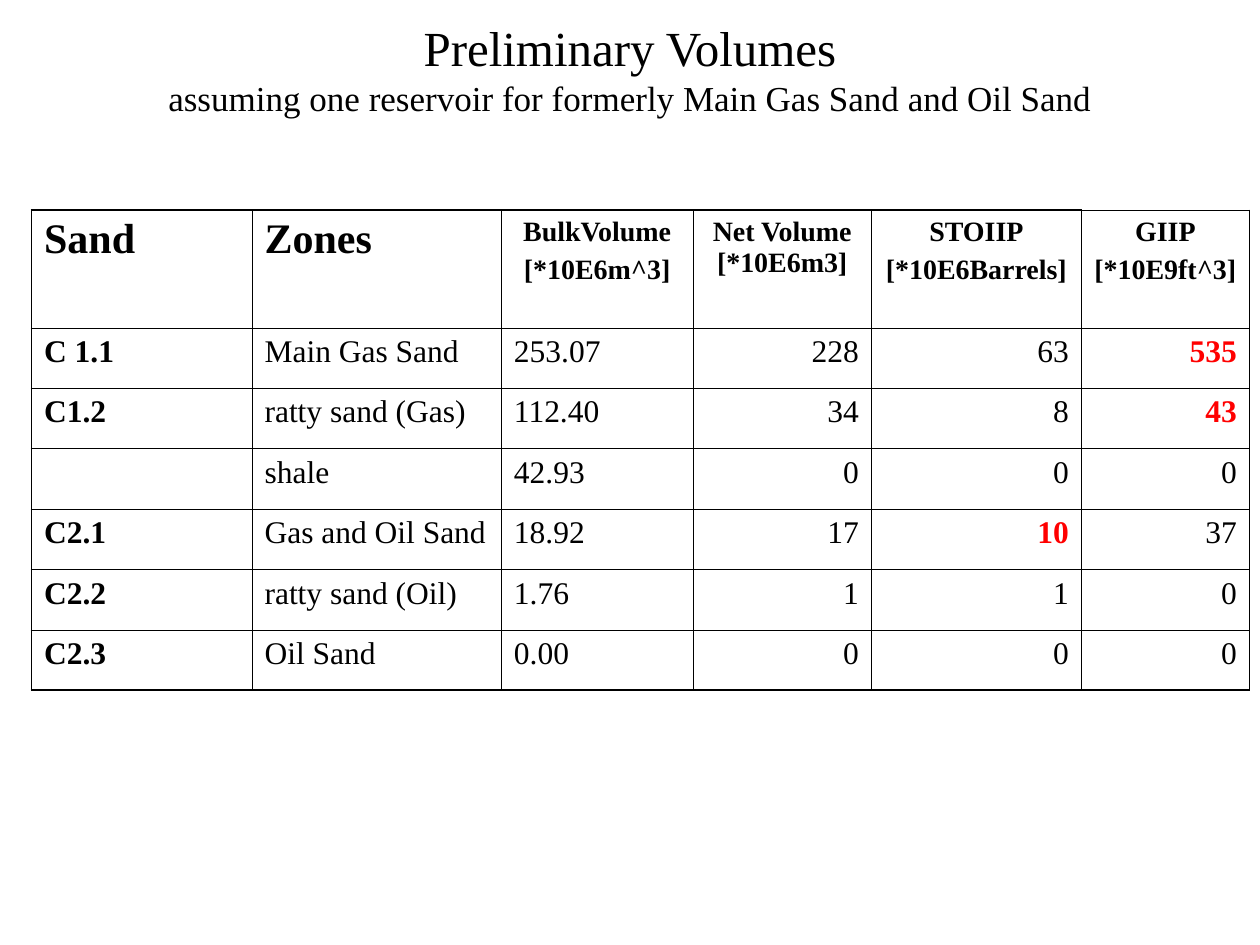
from dataclasses import dataclass

from lxml.etree import SubElement
from pptx import Presentation
from pptx.dml.color import RGBColor
from pptx.enum.text import MSO_ANCHOR, MSO_AUTO_SIZE, PP_ALIGN as Align
from pptx.oxml.ns import qn
from pptx.util import Inches, Pt

COLORS = {"text": "000000", "highlight": "FF0000", "border": "000000"}
FONT = "Times New Roman"
UNIT = Inches(10) // 120
COLUMNS = (21, 23.75, 18.25, 17, 20, 16)
ROWS = (11.25,) + (5.75,) * 6
THIN, THICK = 0.45, 1.08


@dataclass(frozen=True)
class CellText:
    lines: tuple[str, ...]
    size: float = 18
    bold: bool = False
    align: Align = Align.LEFT
    color: str = "text"


HEADERS = [
    CellText(("Sand",), 24, True),
    CellText(("Zones",), 24, True),
    *(
        CellText(lines, 16, True, Align.CENTER)
        for lines in (
            ("BulkVolume", "[*10E6m^3]"),
            ("Net Volume [*10E6m3]",),
            ("STOIIP", "[*10E6Barrels]"),
            ("GIIP", "[*10E9ft^3]"),
        )
    ),
]
VOLUMES = (
    ("C 1.1", "Main Gas Sand", "253.07", "228", "63", "535"),
    ("C1.2", "ratty sand (Gas)", "112.40", "34", "8", "43"),
    ("", "shale", "42.93", "0", "0", "0"),
    ("C2.1", "Gas and Oil Sand", "18.92", "17", "10", "37"),
    ("C2.2", "ratty sand (Oil)", "1.76", "1", "1", "0"),
    ("C2.3", "Oil Sand", "0.00", "0", "0", "0"),
)
HIGHLIGHTS = {(0, 5), (1, 5), (3, 4)}


def units(count: float) -> int:
    return round(count * UNIT)


def style_font(font, size: float, color: str = "text", bold: bool = False) -> None:
    font.name = FONT
    font.size = Pt(size)
    font.bold = bold
    font.color.rgb = RGBColor.from_string(COLORS[color])


def add_title(slide) -> None:
    title = slide.shapes.title
    title.left, title.top, title.width, title.height = map(units, (9, 3, 102, 7))
    frame = title.text_frame
    frame.word_wrap = True
    frame.auto_size = MSO_AUTO_SIZE.NONE
    frame.vertical_anchor = MSO_ANCHOR.MIDDLE
    paragraph = frame.paragraphs[0]
    paragraph.alignment = Align.CENTER
    heading = paragraph.add_run()
    heading.text = "Preliminary Volumes"
    style_font(heading.font, 28)
    paragraph.add_line_break()
    subtitle = paragraph.add_run()
    subtitle.text = "assuming one reservoir for formerly Main Gas Sand and Oil Sand"
    style_font(subtitle.font, 20)


def volume_cell(row: int, column: int) -> CellText:
    highlighted = (row, column) in HIGHLIGHTS
    return CellText(
        (VOLUMES[row][column],),
        bold=column == 0 or highlighted,
        align=Align.RIGHT if column >= 3 else Align.LEFT,
        color="highlight" if highlighted else "text",
    )


def write_cell(cell, content: CellText) -> None:
    cell.fill.background()
    cell.text = "\n".join(content.lines)
    for index, paragraph in enumerate(cell.text_frame.paragraphs):
        paragraph.alignment = content.align
        paragraph.space_before = Pt(4 if index else 0)
        style_font(paragraph.font, content.size, content.color, content.bold)


def border_cell(cell, row: int, column: int) -> None:
    last_row, last_column = len(ROWS) - 1, len(COLUMNS) - 1
    thick_sides = {
        "L": column == 0,
        "R": column == last_column,
        "T": row == 0 and column < last_column,
        "B": row == last_row,
    }
    properties = cell._tc.get_or_add_tcPr()
    for position, (side, thick) in enumerate(thick_sides.items()):
        line = SubElement(properties, qn(f"a:ln{side}"), w=str(Pt(THICK if thick else THIN)))
        fill = SubElement(line, qn("a:solidFill"))
        SubElement(fill, qn("a:srgbClr"), val=COLORS["border"])
        properties.insert(position, line)


def add_volume_table(slide) -> None:
    frame = slide.shapes.add_table(
        len(ROWS), len(COLUMNS), units(3), units(20), units(sum(COLUMNS)), units(sum(ROWS))
    )
    table = frame.table
    table.first_row = table.horz_banding = False
    for column, width in zip(table.columns, COLUMNS):
        column.width = units(width)
    for row_index, height in enumerate(ROWS):
        table.rows[row_index].height = units(height)
        for column_index in range(len(COLUMNS)):
            cell = table.cell(row_index, column_index)
            is_header = row_index == 0
            write_cell(
                cell,
                HEADERS[column_index] if is_header else volume_cell(row_index - 1, column_index),
            )
            border_cell(cell, row_index, column_index)


def main() -> None:
    """Build the slide of preliminary reservoir volumes."""
    presentation = Presentation()
    presentation.slide_width, presentation.slide_height = units(120), units(90)
    slide = presentation.slides.add_slide(presentation.slide_layouts[5])
    add_title(slide)
    add_volume_table(slide)
    presentation.save("out.pptx")


if __name__ == "__main__":
    main()
